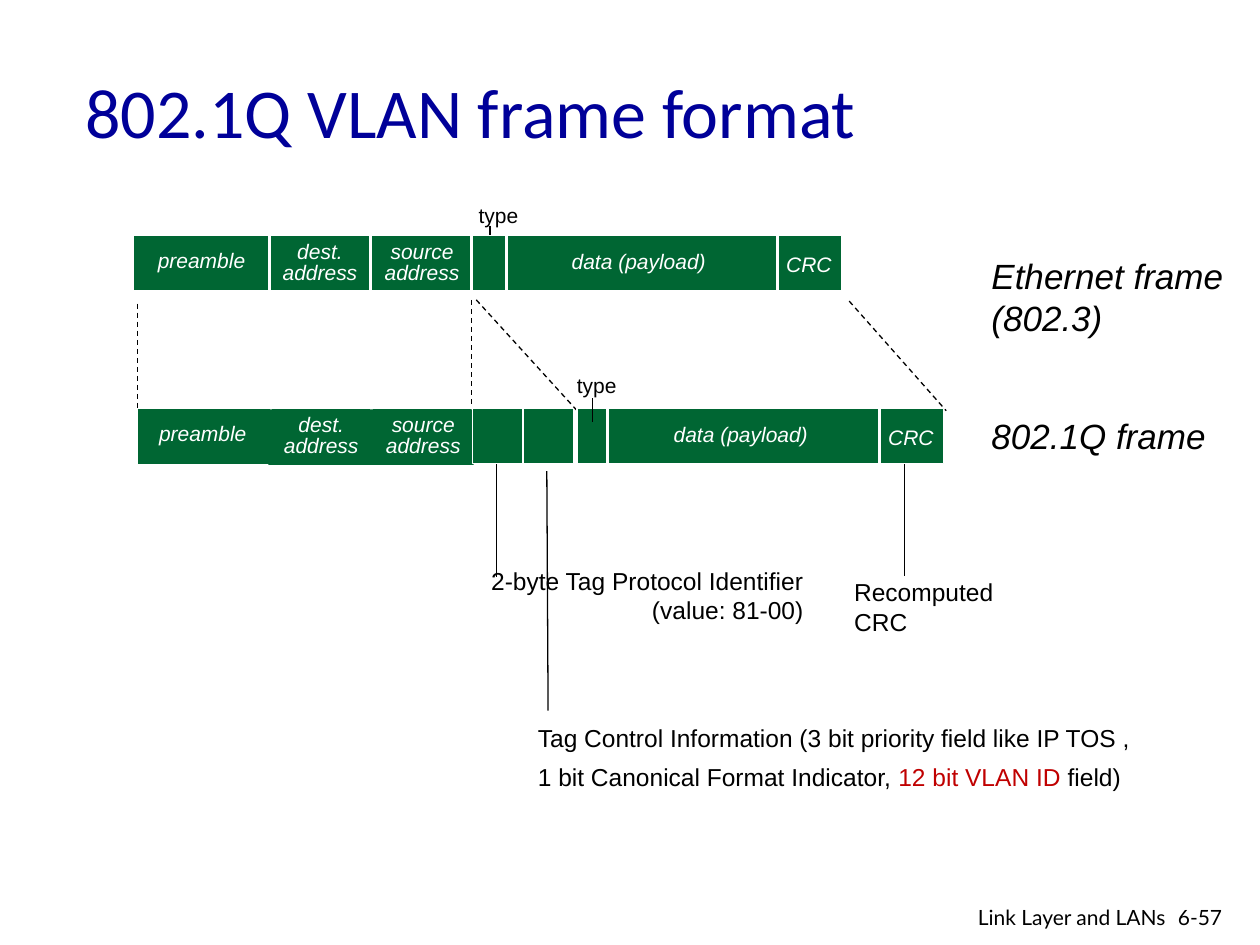
"""Build the VLAN frame format slide on a grid of 100 columns by 75 rows."""
from dataclasses import dataclass
from typing import NamedTuple

from lxml.etree import SubElement
from pptx import Presentation
from pptx.dml.color import RGBColor as Rgb
from pptx.enum.dml import MSO_LINE as Dash
from pptx.enum.shapes import MSO_CONNECTOR as Link, MSO_SHAPE as Form
from pptx.enum.text import MSO_ANCHOR as Anchor, PP_ALIGN as Align
from pptx.oxml.ns import qn
from pptx.util import Inches, Pt


@dataclass(frozen=True)
class Theme:
    ink: str = "000000"
    paper: str = "FFFFFF"
    green: str = "006633"
    navy: str = "000099"
    red: str = "C00000"
    sans: str = "Arial"
    head: str = "Calibri"
    foot: str = "Lato"
    title: int = 40
    name: int = 20
    note: int = 14
    small: int = 12
    thin: float = 0.75
    thick: float = 1.5


class Area(NamedTuple):
    col: float
    row: float
    wide: float
    high: float


class Line(NamedTuple):
    col: float
    row: float
    to_col: float
    to_row: float
    dash: bool = False


class Bar(NamedTuple):
    area: Area
    cuts: tuple = ()


class Label(NamedTuple):
    text: str
    area: Area


LOOK = Theme()
COLS, ROWS = 100, 75
DROP, PUSH = 13.7, 8.1
CUT = 4.7

HEADS = (
    Label("dest.\naddress", Area(21.2, 18.8, 8.4, 4.4)),
    Label("source\naddress", Area(29.5, 18.8, 8, 4.4)),
    Label("preamble", Area(11.5, 19.5, 9, 2.7)),
)
TAILS = (
    Label("data (payload)", Area(44.2, 19.6, 13, 2.7)),
    Label("CRC", Area(61.4, 19.8, 5.6, 2.7)),
)
PLAIN = Bar(Area(10.6, 18.7, 56.2, 4.4), (21.4, 29.4, 37.4, 40.2, 61.7))
FRONT = Bar(Area(10.9, 32.4, 26.8, 4.5), (21.5, 29.5, 37.5))
REST = Bar(Area(45.8, 32.4, 29.1, 4.4), (48.2, 69.8))
TAG = Bar(Area(37.5, 32.4, 8, 4.4), (41.5,))
LINES = (
    Line(38.9, 17.9, 38.9, 19.8),
    Line(10.9, 24.1, 10.9, 32.5, True),
    Line(37.4, 23.8, 37.4, 32.2, True),
    Line(37.8, 23.8, 45.9, 32.7, True),
    Line(67.4, 23.9, 75.1, 32.6, True),
    Line(39.4, 36.4, 39.4, 45.8),
    Line(43.4, 37.4, 43.5, 56.4),
    Line(71.8, 36.3, 71.8, 45.7),
)

deck = Presentation()
deck.slide_width, deck.slide_height = Inches(10), Inches(7.5)
slide = deck.slides.add_slide(deck.slide_layouts[6])


def across(col: float) -> int:
    """Turn columns into a length."""
    return round(deck.slide_width * col / COLS)


def down(row: float) -> int:
    """Turn rows into a length."""
    return round(deck.slide_height * row / ROWS)


def place(area: Area) -> tuple:
    """Turn an area into left, top, width and height."""
    return across(area.col), down(area.row), across(area.wide), down(area.high)


def write(text: str, area: Area, *, size: int = LOOK.small, font: str = LOOK.sans,
          color: str = LOOK.ink, slant: bool = False, wrap: bool = False,
          aligns: tuple = (Align.LEFT,), anchor=Anchor.TOP, lead=None,
          gap: float = 0, hot: str = "", fill: str = "") -> None:
    """Write text, one paragraph per line, with the last alignment repeated."""
    box = slide.shapes.add_textbox(*place(area))
    if fill:
        box.fill.solid()
        box.fill.fore_color.rgb = Rgb.from_string(fill)
    frame = box.text_frame
    frame.word_wrap, frame.vertical_anchor = wrap, anchor
    for n, line in enumerate(text.split("\n")):
        para = frame.paragraphs[0] if n == 0 else frame.add_paragraph()
        para.alignment = aligns[min(n, len(aligns) - 1)]
        if lead:
            para.line_spacing = lead
        if n and gap:
            para.space_before = Pt(gap)
        for part in line.partition(hot) if hot else (line,):
            if part:
                run = para.add_run()
                run.text = part
                run.font.size, run.font.name, run.font.italic = Pt(size), font, slant
                run.font.color.rgb = Rgb.from_string(LOOK.red if part == hot else color)


def rule(line: Line, color: str = LOOK.ink, width: float = LOOK.thin) -> None:
    """Draw a straight line."""
    link = slide.shapes.add_connector(
        Link.STRAIGHT, across(line.col), down(line.row),
        across(line.to_col), down(line.to_row))
    link.line.color.rgb = Rgb.from_string(color)
    link.line.width = Pt(width)
    if line.dash:
        link.line.dash_style = Dash.DASH
    SubElement(link._element.spPr, qn("a:effectLst"))


def strip(bar: Bar) -> None:
    """Draw a green bar and its white cuts."""
    shape = slide.shapes.add_shape(Form.RECTANGLE, *place(bar.area))
    shape.shadow.inherit = False
    shape.fill.solid()
    shape.fill.fore_color.rgb = Rgb.from_string(LOOK.green)
    shape.line.color.rgb = Rgb.from_string(LOOK.paper)
    shape.line.width = Pt(LOOK.thin)
    for col in bar.cuts:
        top = bar.area.row - 0.1
        rule(Line(col, top, col, top + CUT), LOOK.paper, LOOK.thick)


def tell(labels: tuple, push: float = 0, drop: float = 0, fill: str = "") -> None:
    """Write field names, moved by some columns and rows."""
    for text, area in labels:
        spot = area._replace(col=area.col + push, row=area.row + drop)
        write(text, spot, color=LOOK.paper, slant=True, fill=fill,
              aligns=(Align.CENTER,), lead=Pt(LOOK.small))


def main() -> None:
    """Draw the slide and save it."""
    write("type", Area(37, 15.6, 5.2, 3))
    for line in LINES:
        rule(line)
    write("2-byte Tag Protocol Identifier\n(value: 81-00)", Area(38, 44.4, 26.8, 5.7),
          size=LOOK.note, anchor=Anchor.MIDDLE, aligns=(Align.LEFT, Align.RIGHT))
    write("Tag Control Information (3 bit priority field like IP TOS ,\n"
          "1 bit Canonical Format Indicator, 12 bit VLAN ID field)",
          Area(41.7, 56.9, 49.2, 6.4), size=LOOK.note, anchor=Anchor.MIDDLE,
          gap=5, hot="12 bit VLAN ID")
    write("Recomputed\nCRC", Area(66.8, 45.7, 13.5, 5.3), size=LOOK.note,
          anchor=Anchor.MIDDLE, lead=0.8, gap=3.7)
    write("802.1Q VLAN frame format", Area(5.8, 2.5, 85, 12.5), size=LOOK.title,
          font=LOOK.head, color=LOOK.navy, wrap=True, anchor=Anchor.MIDDLE)
    write("Ethernet frame\n(802.3)", Area(77.7, 19.7, 20.5, 7.7),
          size=LOOK.name, slant=True)
    write("802.1Q frame", Area(77.7, 32.4, 19.1, 4.4), size=LOOK.name, slant=True)
    strip(PLAIN)
    tell(HEADS + TAILS)
    strip(FRONT)
    tell(HEADS, 0.1, DROP, LOOK.green)
    strip(REST)
    tell(TAILS, PUSH, DROP)
    write("type", Area(44.8, 29.1, 5.2, 3))
    rule(Line(47, 31.6, 47, 33.5))
    strip(TAG)
    write("6-57", Area(92.5, 71.3, 6, 3), font=LOOK.foot, wrap=True)
    write("Link Layer and LANs", Area(69.7, 71.3, 23.8, 2.6), font=LOOK.foot,
          wrap=True, aligns=(Align.RIGHT,))
    deck.save("out.pptx")


if __name__ == "__main__":
    main()
